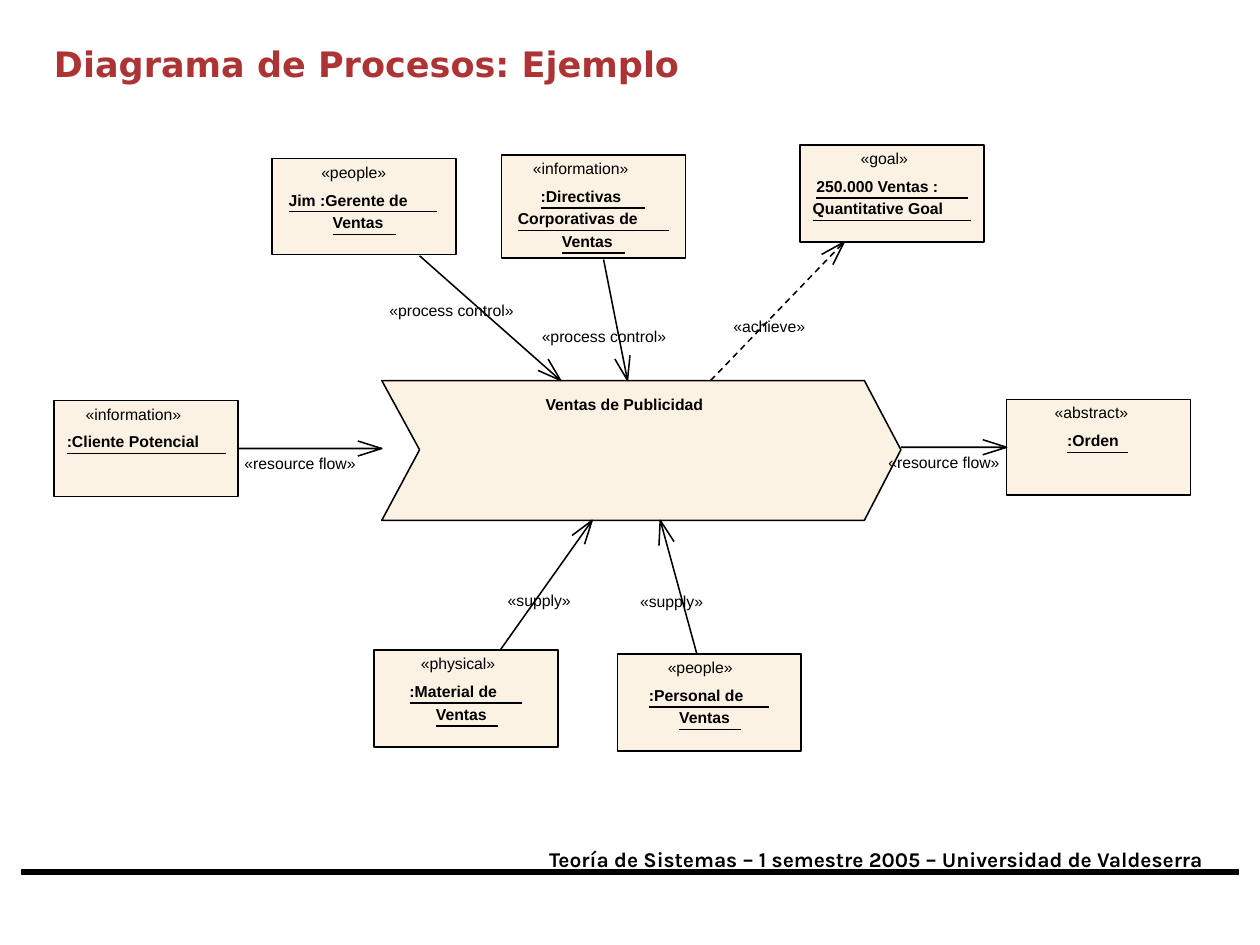
import math
from dataclasses import dataclass

from pptx import Presentation
from pptx import util as u
from pptx.dml.color import RGBColor
from pptx.enum import dml, shapes, text
from pptx.oxml.ns import qn
from lxml import etree

PX = 9144  # EMU per px, 100 px to the inch
INK, CREAM, RED = "000000", "FCF2E3", "AC3434"
THIN = 0.88
BOX_WIDTH, TEXT_HEIGHT = 146, 15
TEXT_SLACK = 4  # spare width that keeps each label on one line
STEREOTYPE_DROP, NAME_DROP, NAME_STEP, UNDERLINE_DROP = 3, 25, 18, 17
BARB_LENGTH, BARB_SPREAD = 19, 6

Point = tuple[int, int]


@dataclass
class Name:
    text: str
    left: int
    width: int
    underline: int


@dataclass
class Entity:
    left: int
    top: int
    height: int
    stereotype: str
    stereotype_left: int
    stereotype_width: int
    names: list[Name]


@dataclass
class Flow:
    start: Point
    tip: Point
    label: str
    label_left: int
    label_top: int
    label_width: int
    dashed: bool = False


ENTITIES = [
    Entity(635, 115, 77, "«goal»", 683, 38,
           [Name("250.000 Ventas :", 648, 97, 120), Name("Quantitative Goal", 645, 104, 126)]),
    Entity(216, 126, 76, "«people»", 255, 52,
           [Name("Jim :Gerente de", 229, 98, 118), Name("Ventas", 264, 41, 50)]),
    Entity(43, 318, 76, "«information»", 68, 76,
           [Name(":Cliente Potencial", 53, 105, 126)]),
    Entity(398, 123, 82, "«information»", 423, 76,
           [Name(":Directivas", 429, 67, 83), Name("Corporativas de", 411, 99, 120),
            Name("Ventas", 446, 41, 50)]),
    Entity(297, 516, 77, "«physical»", 334, 59,
           [Name(":Material de", 325, 73, 89), Name("Ventas", 346, 41, 49)]),
    Entity(490, 519, 77, "«people»", 530, 52,
           [Name(":Personal de", 515, 79, 95), Name("Ventas", 539, 41, 49)]),
    Entity(799, 317, 76, "«abstract»", 837, 58, [Name(":Orden", 847, 41, 48)]),
]

FLOWS = [
    Flow((189, 356), (303, 356), "«resource flow»", 194, 360, 88),
    Flow((333, 203), (445, 302), "«process control»", 309, 239, 99),
    Flow((479, 206), (498, 302), "«process control»", 430, 259, 99),
    Flow((397, 516), (470, 413), "«supply»", 403, 469, 50),
    Flow((553, 519), (524, 413), "«supply»", 508, 470, 50),
    Flow((564, 302), (670, 192), "«achieve»", 582, 251, 57, dashed=True),
    Flow((715, 355), (799, 355), "«resource flow»", 705, 359, 88),
]

PROCESS_OUTLINE = [(303, 302), (686, 302), (715, 357), (686, 413), (303, 413), (333, 357)]


def px(value: float) -> int:
    return round(value * PX)


def color(value: str) -> RGBColor:
    return RGBColor.from_string(value)


def set_all(target, values: dict) -> None:
    for name, value in values.items():
        setattr(target, name, value)


def style_shape(shape, fill: str | None = None) -> None:
    shape.shadow.inherit = False
    if fill:
        shape.fill.solid()
        shape.fill.fore_color.rgb = color(fill)
    else:
        shape.fill.background()
    shape.line.color.rgb = color(INK)
    shape.line.width = u.Pt(THIN)


def add_text(slide, content: str, left: int, top: int, width: int, height: int = TEXT_HEIGHT,
             size: int = 9, font: str = "Arial", ink: str = INK, bold: bool = False,
             inset: Point = (0, 0), frame_format: dict | None = None) -> None:
    box = slide.shapes.add_textbox(px(left), px(top), px(width + TEXT_SLACK), px(height))
    across, down = map(px, inset)
    set_all(box.text_frame, {
        "margin_left": across, "margin_right": across,
        "margin_top": down, "margin_bottom": down,
        "word_wrap": False, "auto_size": text.MSO_AUTO_SIZE.SHAPE_TO_FIT_TEXT,
        **(frame_format or {}),
    })
    run = box.text_frame.paragraphs[0].add_run()
    run.text = content
    set_all(run.font, {"size": u.Pt(size), "name": font, "bold": bold})
    run.font.color.rgb = color(ink)


def add_line(slide, start: Point, end: Point, width: float = THIN, dashed: bool = False) -> None:
    line = slide.shapes.add_connector(shapes.MSO_CONNECTOR.STRAIGHT, *map(px, (*start, *end)))
    line.line.color.rgb = color(INK)
    line.line.width = u.Pt(width)
    if dashed:
        line.line.dash_style = dml.MSO_LINE.DASH
    etree.SubElement(line._element.spPr, qn("a:effectLst"))


def add_path(slide, points: list[Point], closed: bool = False, fill: str | None = None) -> None:
    builder = slide.shapes.build_freeform(*points[0], scale=PX)
    builder.add_line_segments(points[1:], close=closed)
    style_shape(builder.convert_to_shape(), fill)


def add_entity(slide, entity: Entity) -> None:
    box = slide.shapes.add_shape(
        shapes.MSO_SHAPE.RECTANGLE,
        *map(px, (entity.left, entity.top, BOX_WIDTH, entity.height)))
    style_shape(box, CREAM)
    add_text(slide, entity.stereotype, entity.stereotype_left,
             entity.top + STEREOTYPE_DROP, entity.stereotype_width)
    for row, name in enumerate(entity.names):
        top = entity.top + NAME_DROP + row * NAME_STEP
        add_text(slide, name.text, name.left, top, name.width, bold=True)
        baseline = top + UNDERLINE_DROP
        add_line(slide, (name.left, baseline), (name.left + name.underline, baseline))


def find_barbs(start: Point, tip: Point) -> list[Point]:
    """Return the two ends of an open arrowhead."""
    run, rise = tip[0] - start[0], tip[1] - start[1]
    length = math.hypot(run, rise)
    along_x, along_y = run / length, rise / length
    return [(round(tip[0] - BARB_LENGTH * along_x - side * along_y),
             round(tip[1] - BARB_LENGTH * along_y + side * along_x))
            for side in (BARB_SPREAD, -BARB_SPREAD)]


def add_flow(slide, flow: Flow) -> None:
    first, second = find_barbs(flow.start, flow.tip)
    if flow.dashed:
        add_line(slide, flow.start, flow.tip, dashed=True)
        add_path(slide, [first, flow.tip, second])
    else:
        add_path(slide, [flow.start, flow.tip, first])
        add_line(slide, flow.tip, second)
    add_text(slide, flow.label, flow.label_left, flow.label_top, flow.label_width)


def main() -> None:
    presentation = Presentation()
    set_all(presentation, {"slide_width": px(1000), "slide_height": px(750)})
    slide = presentation.slides.add_slide(presentation.slide_layouts[6])

    # Footer and title
    add_line(slide, (17, 692), (983, 692), width=3)
    add_text(slide, "Teoría de Sistemas – 1 semestre 2005 – Universidad de Valdeserra",
             426, 667, 560, 30, size=12, font="Karla", bold=True, inset=(10, 5))
    add_text(slide, "Diagrama de Procesos: Ejemplo", 33, 17, 675, 67, size=20,
             font="DejaVu Sans", ink=RED, bold=True, inset=(10, 5),
             frame_format={"word_wrap": True, "auto_size": text.MSO_AUTO_SIZE.NONE,
                           "vertical_anchor": text.MSO_ANCHOR.MIDDLE})

    # Central process
    add_path(slide, PROCESS_OUTLINE, closed=True, fill=CREAM)
    add_text(slide, "Ventas de Publicidad", 433, 313, 126, bold=True)

    # Entities and the flows that join them to the process
    for entity in ENTITIES:
        add_entity(slide, entity)
    for flow in FLOWS:
        add_flow(slide, flow)

    presentation.save("out.pptx")


if __name__ == "__main__":
    main()
